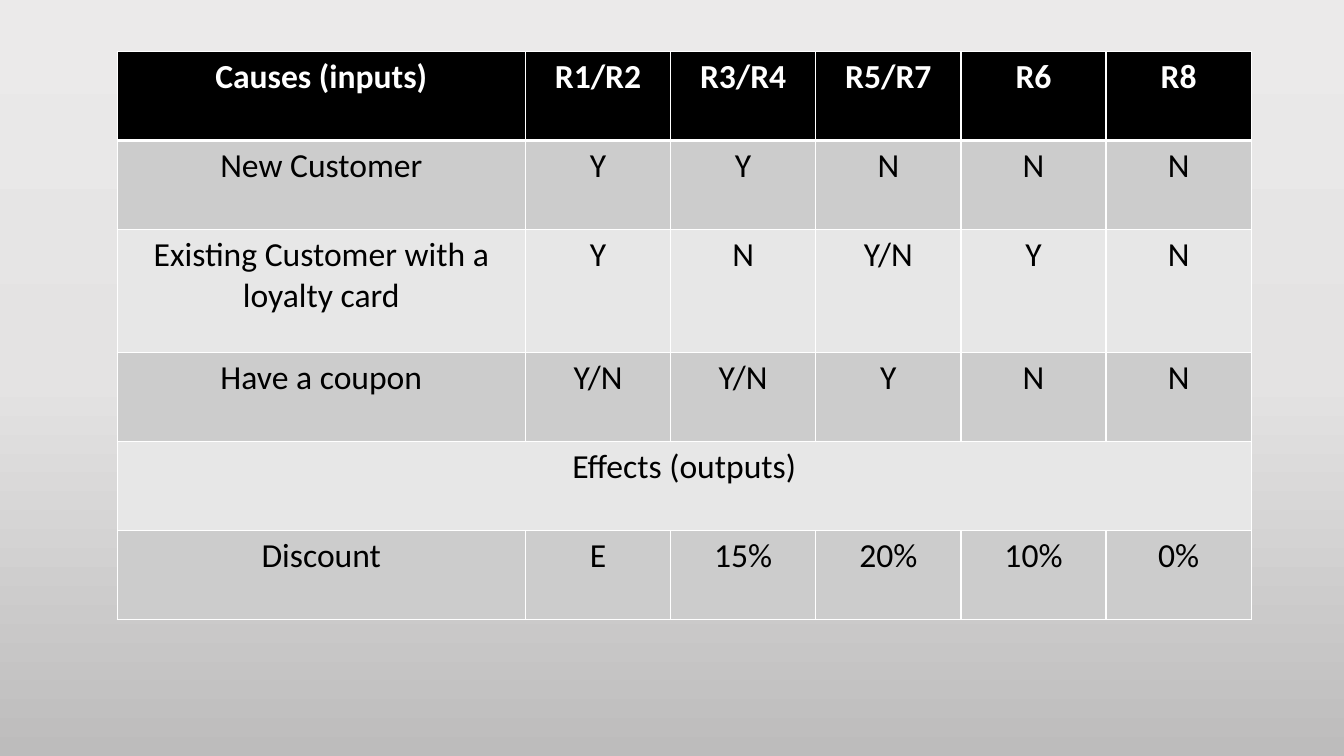
from copy import deepcopy
from dataclasses import dataclass

from lxml import etree
from pptx import Presentation
from pptx.dml.color import RGBColor
from pptx.enum import text
from pptx.oxml import ns
from pptx.util import Pt


@dataclass(frozen=True)
class Theme:
    """Colours, type and line widths of the slide."""
    font: str = "Calibri"
    size: float = 24
    white: str = "FFFFFF"
    black: str = "000000"
    bands: tuple = ("CCCCCC", "E7E7E7")
    back: tuple = ("EBEAEA", "E4E3E3", "BDBCBC")
    thin: float = 1
    thick: float = 3


class Painter:
    """Draws elements on one slide in one style."""

    def __init__(self, slide, theme):
        """Keep the slide and its theme."""
        self.slide = slide
        self.theme = theme

    def backdrop(self):
        """Fill the background with an even gradient from top to bottom."""
        fill = self.slide.background.fill
        fill.gradient()
        fill.gradient_angle = 270
        first = self.slide.element.find(".//" + ns.qn("a:gs"))
        first.addnext(deepcopy(first))
        last = len(self.theme.back) - 1
        for i, (stop, tint) in enumerate(zip(fill.gradient_stops, self.theme.back)):
            stop.color.rgb = RGBColor.from_string(tint)
            stop.position = i / last

    def border(self, cell, widths):
        """Draw white left, right, top and bottom edges of a cell."""
        props = cell._tc.get_or_add_tcPr()
        for i, (side, width) in enumerate(zip("LRTB", widths)):
            line = etree.Element(ns.qn(f"a:ln{side}"), w=str(Pt(width)))
            solid = etree.SubElement(line, ns.qn("a:solidFill"))
            etree.SubElement(solid, ns.qn("a:srgbClr"), val=self.theme.white)
            props.insert(i, line)

    def cell(self, cell, words, row):
        """Style one cell by its row and write its words."""
        look, head = self.theme, row == 0
        cell.fill.solid()
        tint = look.black if head else look.bands[(row - 1) % 2]
        cell.fill.fore_color.rgb = RGBColor.from_string(tint)
        top = look.thick if row == 1 else look.thin
        base = look.thick if head else look.thin
        self.border(cell, (look.thin, look.thin, top, base))
        cell.text = words
        para = cell.text_frame.paragraphs[0]
        para.alignment = text.PP_ALIGN.CENTER
        font = para.font
        font.name, font.size, font.bold = look.font, Pt(look.size), head
        font.color.rgb = RGBColor.from_string(look.white if head else look.black)

    def table(self, left, top, cols, rows, data):
        """Add a table; a row with a single entry spans all columns."""
        grid = self.slide.shapes.add_table(
            len(rows), len(cols), Pt(left), Pt(top), Pt(sum(cols)), Pt(sum(rows))
        ).table
        grid.horz_banding = False
        for col, width in zip(grid.columns, cols):
            col.width = Pt(width)
        for r, (height, line) in enumerate(zip(rows, data)):
            grid.rows[r].height = Pt(height)
            for c in range(len(cols)):
                self.cell(grid.cell(r, c), line[c] if c < len(line) else "", r)
            if len(line) == 1:
                grid.cell(r, 0).merge(grid.cell(r, len(cols) - 1))


RULES = [
    ("Causes (inputs)", "R1/R2", "R3/R4", "R5/R7", "R6", "R8"),
    ("New Customer", "Y", "Y", "N", "N", "N"),
    ("Existing Customer with a loyalty card", "Y", "N", "Y/N", "Y", "N"),
    ("Have a coupon", "Y/N", "Y/N", "Y", "N", "N"),
    ("Effects (outputs)",),
    ("Discount", "E", "15%", "20%", "10%", "0%"),
]


def main():
    """Build the decision table slide."""
    deck = Presentation()
    deck.slide_width, deck.slide_height = Pt(960), Pt(540)
    slide = deck.slides.add_slide(deck.slide_layouts[6])
    pen = Painter(slide, Theme())
    pen.backdrop()
    rows = [63.6] * len(RULES)
    rows[2] = 88
    pen.table(83.7, 36.7, [291.6] + [103.7] * 5, rows, RULES)
    deck.save("out.pptx")


main()
